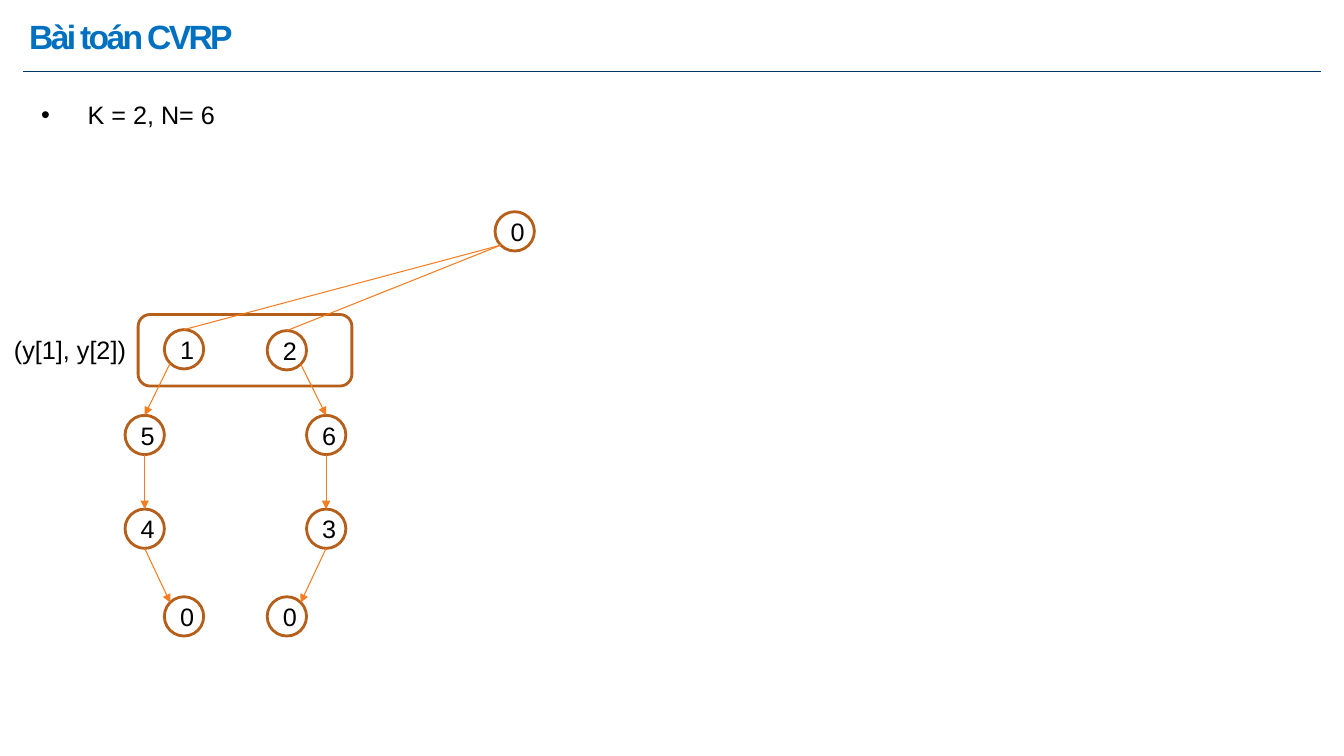
"""Build the CVRP slide: K = 2 routes through N = 6 customers."""
import pptx
import pptx.util
import pptx.dml.color
import pptx.enum.shapes
import pptx.enum.text
import pptx.oxml.ns
from lxml import etree

Inches, Pt = pptx.util.Inches, pptx.util.Pt
SHAPE = pptx.enum.shapes.MSO_SHAPE
ALIGN = pptx.enum.text.PP_ALIGN
ANCHOR = pptx.enum.text.MSO_ANCHOR
qn = pptx.oxml.ns.qn


def paint(target, color, **formats):
    target.color.rgb = pptx.dml.color.RGBColor.from_string(color)
    for name, value in formats.items():
        setattr(target, name, value)


def connect(x1, y1, x2, y2, color, width, arrow=False):
    c = s.shapes.add_connector(pptx.enum.shapes.MSO_CONNECTOR.STRAIGHT,
                               Inches(x1), Inches(y1), Inches(x2), Inches(y2))
    paint(c.line, color, width=Pt(width))
    if arrow:
        etree.SubElement(c.line._get_or_add_ln(), qn("a:tailEnd"), type="triangle")
    etree.SubElement(c._element.spPr, qn("a:effectLst"))


prs = pptx.Presentation()
prs.slide_width, prs.slide_height = Inches(13.33), Inches(7.5)
s = prs.slides.add_slide(prs.slide_layouts[5])
body_font = {"name": "Arial", "size": Pt(18)}

connect(0.23, 0.71, 13.1, 0.71, "003764", 0.5)

title = s.shapes.title
box = {"left": 0.21, "top": 0.08, "width": 10.4, "height": 0.61}
for name, value in box.items():
    setattr(title, name, Inches(value))
tf = title.text_frame
tf.text = "Bài toán CVRP"
frame = {"vertical_anchor": ANCHOR.TOP, "margin_left": Inches(0.08),
         "margin_top": Inches(0.08), "auto_size": pptx.enum.text.MSO_AUTO_SIZE.NONE}
for name, value in frame.items():
    setattr(tf, name, value)
p = tf.paragraphs[0]
p.alignment = ALIGN.LEFT
r = p.runs[0]
paint(r.font, "0070C0", name="Arial", size=Pt(24), bold=True)
r._r.get_or_add_rPr().set("spc", "-190")

texts = [
    ("K = 2, N= 6", 0.31, 0.94, 12.79, 5.47, True),
    ("(y[1], y[2])", 0.04, 3.27, 1.35, 0.4, False),
]
for text, x, y, w, h, bullet in texts:
    tf = s.shapes.add_textbox(Inches(x), Inches(y), Inches(w), Inches(h)).text_frame
    tf.word_wrap = bullet
    p = tf.paragraphs[0]
    if bullet:
        pPr = p._p.get_or_add_pPr()
        pPr.set("marL", str(Inches(0.46)))
        pPr.set("indent", str(-Inches(0.46)))
        etree.SubElement(pPr, qn("a:buFont"), typeface="Arial")
        etree.SubElement(pPr, qn("a:buChar"), char="•")
    r = p.add_run()
    r.text = text
    paint(r.font, "000000", **body_font)

size = 0.39
nodes = {
    "depot": ("0", 4.91, 2.1),
    "1": ("1", 1.63, 3.27), "2": ("2", 2.65, 3.28),
    "5": ("5", 1.24, 4.12), "6": ("6", 3.04, 4.12),
    "4": ("4", 1.24, 5.05), "3": ("3", 3.04, 5.05),
    "left end": ("0", 1.63, 5.92), "right end": ("0", 2.65, 5.92),
}
outlines = [(SHAPE.OVAL, text, x, y, size, size) for text, x, y in nodes.values()]
outlines.append((SHAPE.ROUNDED_RECTANGLE, "", 1.37, 3.12, 2.12, 0.71))
for kind, text, x, y, w, h in outlines:
    sp = s.shapes.add_shape(kind, Inches(x), Inches(y), Inches(w), Inches(h))
    sp.shadow.inherit = False
    sp.fill.background()
    paint(sp.line, "B55F1B", width=Pt(2))
    if text:
        tf = sp.text_frame
        tf.vertical_anchor = ANCHOR.MIDDLE
        p = tf.paragraphs[0]
        p.alignment = ALIGN.CENTER
        r = p.add_run()
        r.text = text
        paint(r.font, "000000", **body_font)

sites = {"top": (0.5, 0), "bottom": (0.5, 1), "bottom left": (0.15, 0.85),
         "bottom right": (0.85, 0.85), "top left": (0.15, 0.15), "top right": (0.85, 0.15)}
edges = [
    ("depot", "bottom left", "1", "top", False),
    ("depot", "bottom left", "2", "top", False),
    ("1", "bottom left", "5", "top", True),
    ("5", "bottom", "4", "top", True),
    ("4", "bottom", "left end", "top left", True),
    ("2", "bottom right", "6", "top", True),
    ("6", "bottom", "3", "top", True),
    ("3", "bottom", "right end", "top right", True),
]
for start, start_site, end, end_site, arrow in edges:
    points = []
    for node, site in ((start, start_site), (end, end_site)):
        points += [nodes[node][i + 1] + size * sites[site][i] for i in range(2)]
    connect(*points, "F57D1F", 0.75, arrow)

prs.save("out.pptx")
